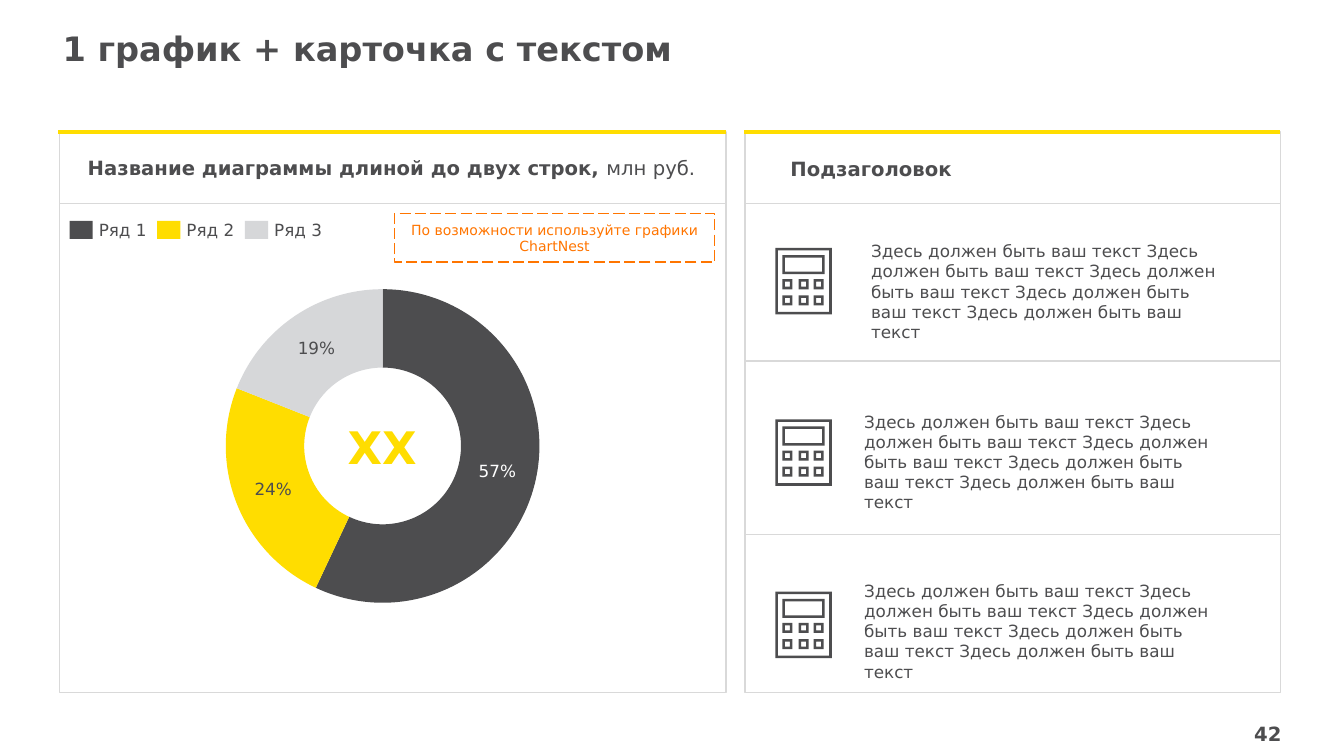
from lxml import etree
from pptx import Presentation
from pptx.chart.data import CategoryChartData
from pptx.dml.color import RGBColor
from pptx.enum.chart import XL_CHART_TYPE
from pptx.enum.dml import MSO_LINE
from pptx.enum.shapes import MSO_CONNECTOR, MSO_SHAPE
from pptx.enum.text import MSO_ANCHOR, MSO_AUTO_SIZE, PP_ALIGN
from pptx.oxml import parse_xml
from pptx.oxml.ns import nsdecls, qn
from pptx.util import Pt

PX = 9144  # one hundredth of an inch
STROKE = Pt(1.8)
FONT = "DejaVu Sans"
DARK = RGBColor(0x4D, 0x4D, 0x4F)
YELLOW = RGBColor(0xFF, 0xDD, 0x00)
SILVER = RGBColor(0xD6, 0xD7, 0xD9)
RULE = RGBColor(0xD9, 0xD9, 0xD9)
ORANGE = RGBColor(0xFF, 0x75, 0x00)
WHITE = RGBColor(0xFF, 0xFF, 0xFF)
TOP, MIDDLE, BOTTOM = MSO_ANCHOR.TOP, MSO_ANCHOR.MIDDLE, MSO_ANCHOR.BOTTOM
LEFT, CENTER, RIGHT = PP_ALIGN.LEFT, PP_ALIGN.CENTER, PP_ALIGN.RIGHT
RECT = MSO_SHAPE.RECTANGLE
SHARES = [("Ряд 1", 57, DARK), ("Ряд 2", 24, YELLOW), ("Ряд 3", 19, SILVER)]
BODY = " ".join(["Здесь должен быть ваш текст"] * 5)


def emu(*nums):
    return [n * PX for n in nums]


def write(shape, runs, size, color=DARK, align=LEFT, anchor=TOP, wrap=True,
          pad=(0, 0), space=None):
    """Fill a shape with one paragraph; runs are (text, bold) pairs."""
    frame = shape.text_frame
    frame.word_wrap = wrap
    frame.auto_size = MSO_AUTO_SIZE.NONE
    frame.vertical_anchor = anchor
    frame.margin_left = frame.margin_right = pad[0] * PX
    frame.margin_top = frame.margin_bottom = pad[1] * PX
    para = frame.paragraphs[0]
    para.alignment = align
    if space:
        para.line_spacing = space
    for text, bold in runs:
        run = para.add_run()
        run.text = text
        font = run.font
        font.name, font.size, font.bold = FONT, Pt(size), bold
        font.color.rgb = color


def label(slide, box, runs, size, **style):
    write(slide.shapes.add_textbox(*emu(*box)), runs, size, **style)


def block(slide, box, fill=None, line=None):
    shape = slide.shapes.add_shape(RECT, *emu(*box))
    shape.shadow.inherit = False
    if fill is None:
        shape.fill.background()
    else:
        shape.fill.solid()
        shape.fill.fore_color.rgb = fill
    if line is None:
        shape.line.fill.background()
    else:
        shape.line.color.rgb = line
        shape.line.width = Pt(1)
    return shape


def rule(slide, left, right, y, color, width):
    line = slide.shapes.add_connector(MSO_CONNECTOR.STRAIGHT,
                                      *emu(left, y, right, y))
    line.line.color.rgb = color
    line.line.width = Pt(width)
    etree.SubElement(line._element.spPr, qn("a:effectLst"))


def card(slide, box, cuts):
    """Draw a card with a yellow top edge and grey rules at the given depths."""
    x, y, w, _ = box
    block(slide, box, line=RULE)
    for cut in cuts:
        rule(slide, x, x + w + 1, y + cut, RULE, 1)
    rule(slide, x - 1, x + w, y, YELLOW, 2.25)


def ring(group, x, y, w, h):
    """Draw a rectangular outline as a filled shape with a hole."""
    l, t, r, b = emu(x, y, x + w, y + h)
    pen = group.shapes.build_freeform(l, t)
    pen.add_line_segments([(r, t), (r, b), (l, b)])
    l, t, r, b = l + STROKE, t + STROKE, r - STROKE, b - STROKE
    pen.move_to(l, t)
    pen.add_line_segments([(l, b), (r, b), (r, t)])
    shape = pen.convert_to_shape()
    shape.shadow.inherit = False
    shape.fill.solid()
    shape.fill.fore_color.rgb = DARK
    shape.line.fill.background()


def icon(slide, x, y):
    """Draw a calculator."""
    group = slide.shapes.add_group_shape()
    ring(group, x, y, 56, 66)
    ring(group, x + 7, y + 7, 42, 19)
    for dx in (7, 23, 38):
        for dy in (31, 47):
            ring(group, x + dx, y + dy, 10, 10)


def donut(slide, box):
    data = CategoryChartData(number_format='0"%"')
    data.categories = ["1", "2", "3"]
    data.add_series("Series 1", [share for _, share, _ in SHARES])
    chart = slide.shapes.add_chart(XL_CHART_TYPE.DOUGHNUT, *emu(*box),
                                   data).chart
    chart.has_legend = chart.has_title = False
    chart.font.name, chart.font.size = FONT, Pt(12)
    chart.font.color.rgb = DARK
    series = chart.plots[0].series[0]
    marks = series.data_labels
    marks.show_value = True
    marks.number_format, marks.number_format_is_linked = '0"%"', False
    marks.font.name, marks.font.size = FONT, Pt(12)
    marks.font.color.rgb = DARK
    for i, (_, _, color) in enumerate(SHARES):
        part = series.points[i].format
        part.fill.solid()
        part.fill.fore_color.rgb = color
        part.line.fill.background()
    font = series.points[0].data_label.font
    font.name, font.size = FONT, Pt(12)
    font.color.rgb = WHITE
    area = chart._chartSpace.chart.plotArea
    area.find(".//" + qn("c:holeSize")).set("val", "65")
    for old in area.findall(qn("c:layout")):
        area.remove(old)
    spots = (("x", 0.03), ("y", 0.1), ("w", 0.94), ("h", 0.8))
    area.insert(0, parse_xml(
        f'<c:layout {nsdecls("c")}><c:manualLayout>'
        '<c:layoutTarget val="inner"/>'
        '<c:xMode val="edge"/><c:yMode val="edge"/>'
        + "".join(f'<c:{key} val="{val}"/>' for key, val in spots)
        + "</c:manualLayout></c:layout>"))


def legend(slide, x, y):
    for i, (name, _, color) in enumerate(SHARES):
        left = x + 87 * i
        block(slide, (left, y, 23, 18), fill=color)
        label(slide, (left + 29, y + 1, 47, 18), [(name, False)], 12,
              anchor=MIDDLE, wrap=False, space=0.9)


def graph(slide, box):
    """Fill the left card: heading, legend, hint and doughnut."""
    x, y, _, _ = box
    card(slide, box, [71])
    label(slide, (x + 28, y + 26, 621, 21),
          [("Название диаграммы длиной до двух строк, ", True),
           ("млн руб.", False)], 14, anchor=BOTTOM, space=0.9)
    donut(slide, (x + 155, y + 117, 331, 389))
    legend(slide, x + 10, y + 88)
    label(slide, (x + 255, y + 285, 130, 54), [("XX", True)], 32,
          color=YELLOW, align=CENTER)
    hint = block(slide, (x + 332, y + 81, 318, 48), WHITE, ORANGE)
    hint.line.dash_style = MSO_LINE.LONG_DASH
    write(hint, [("По возможности используйте графики ChartNest", False)], 10,
          color=ORANGE, align=CENTER, anchor=MIDDLE, pad=(4, 5))


def notes(slide, box):
    """Fill the right card: heading and three icon rows."""
    x, y, _, _ = box
    card(slide, box, [71, 227, 399])
    label(slide, (x + 45, y + 24, 457, 24), [("Подзаголовок", True)], 14,
          anchor=BOTTOM)
    for pic, left, top in ((115, 125, 108), (285, 118, 277), (456, 118, 445)):
        icon(slide, x + 30, y + pic)
        label(slide, (x + left, y + top, 353, 81), [(BODY, False)], 12)


def main():
    deck = Presentation()
    deck.slide_width, deck.slide_height = emu(1333, 750)
    slide = deck.slides.add_slide(deck.slide_layouts[5])
    title = slide.shapes.title
    title.left, title.top, title.width, title.height = emu(62, 28, 1094, 40)
    write(title, [("1 график + карточка с текстом", True)], 24)
    graph(slide, (59, 131, 661, 556))
    notes(slide, (739, 131, 531, 556))
    label(slide, (1214, 716, 57, 24), [("42", True)], 14, align=RIGHT,
          anchor=MIDDLE)
    deck.save("out.pptx")


if __name__ == "__main__":
    main()
